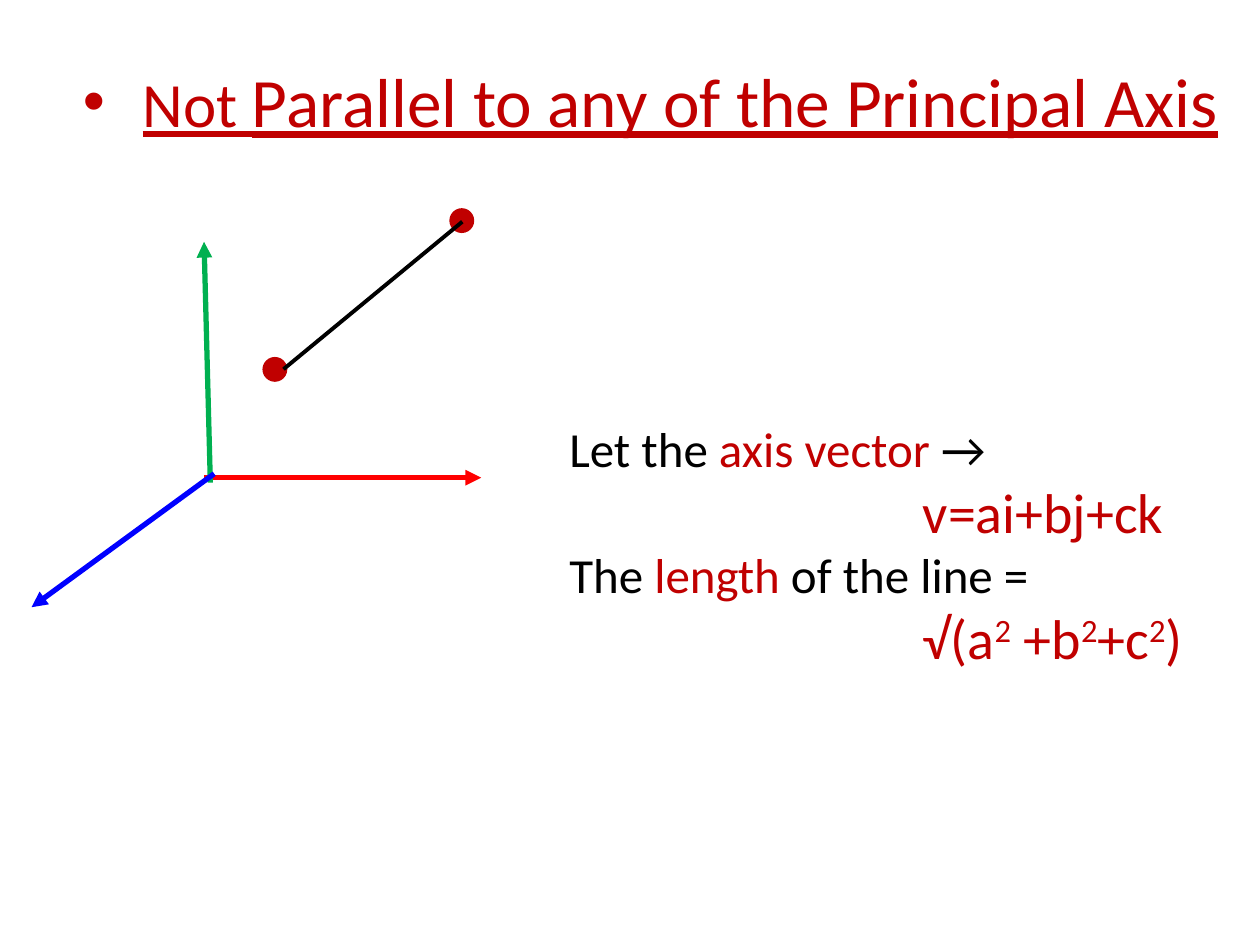
from lxml import etree
from pptx import Presentation
from pptx.dml.color import RGBColor
from pptx.enum import shapes, text
from pptx.oxml import ns
from pptx.util import Pt

CRIMSON = RGBColor(0xC0, 0x00, 0x00)
RED = RGBColor(0xFF, 0x00, 0x00)
GREEN = RGBColor(0x00, 0xB0, 0x50)
BLUE = RGBColor(0x00, 0x00, 0xFF)
BLACK = RGBColor(0x00, 0x00, 0x00)

PLAIN = {"size": Pt(28), "color": BLACK}
ACCENT = {"size": Pt(28), "color": CRIMSON}
FORMULA = {"size": Pt(32), "color": CRIMSON}
SQUARE = {**FORMULA, "baseline": "30000"}
HEADING = {"size": Pt(36), "color": CRIMSON, "underline": True}
FORMULA_INDENT = 202

TITLE_BOX = (36, 12.24, 671.76, 90)
TITLE = [
    (38.5, [("Not ", HEADING),
            ("Parallel to any of the Principal Axis", {**HEADING, "size": Pt(39.6)})]),
]
NOTES_BOX = (318.24, 235.44, 378, 208)
NOTES = [
    (0, [("Let the ", PLAIN), ("axis vector ", ACCENT), ("→", PLAIN)]),
    (FORMULA_INDENT, [("v=ai+bj+ck", FORMULA)]),
    (0, [("The ", PLAIN), ("length", ACCENT), (" of the line =", PLAIN)]),
    (FORMULA_INDENT, [("√(a", FORMULA), ("2", SQUARE), (" +b", FORMULA), ("2", SQUARE),
                      ("+c", FORMULA), ("2", SQUARE), (")", FORMULA)]),
]
AXES = [
    ((116.6, 273), (275, 273), RED),
    ((120.2, 275.8), (116.6, 138.2), GREEN),
    ((122.4, 270.7), (18, 347), BLUE),
]
POINT_SIZE = 12.2
POINTS = [(257.8, 120), (151, 205)]
SEGMENT = ((162, 211), (264.2, 126.7))


def add_text(slide, box, paragraphs, anchor):
    shape = slide.shapes.add_textbox(*map(Pt, box))
    frame = shape.text_frame
    settings = {"word_wrap": True, "vertical_anchor": anchor, "margin_right": 0}
    for name, value in settings.items():
        setattr(frame, name, value)
    for index, (indent, runs) in enumerate(paragraphs):
        paragraph = frame.add_paragraph() if index else frame.paragraphs[0]
        paragraph._p.get_or_add_pPr().set("marL", str(Pt(indent)))
        for wording, values in runs:
            run = paragraph.add_run()
            run.text = wording
            run.font.name = "Calibri"
            for name, value in values.items():
                if name == "color":
                    run.font.color.rgb = value
                elif name == "baseline":
                    run.font._element.set(name, value)
                else:
                    setattr(run.font, name, value)
    return frame


def add_bullet(paragraph, hanging):
    properties = paragraph._p.get_or_add_pPr()
    properties.set("indent", str(-Pt(hanging)))
    etree.SubElement(properties, ns.qn("a:buFont")).set("typeface", "Arial")
    etree.SubElement(properties, ns.qn("a:buChar")).set("char", "•")


def add_line(slide, start, end, color, width, arrow=False):
    connector = slide.shapes.add_connector(
        shapes.MSO_CONNECTOR.STRAIGHT, *map(Pt, start + end))
    connector.line.color.rgb = color
    connector.line.width = Pt(width)
    if arrow:
        line = connector.line._get_or_add_ln()
        etree.SubElement(line, ns.qn("a:tailEnd")).set("type", "triangle")
    etree.SubElement(connector._element.spPr, ns.qn("a:effectLst"))


def add_point(slide, left, top):
    shape = slide.shapes.add_shape(
        shapes.MSO_SHAPE.OVAL, *map(Pt, (left, top, POINT_SIZE, POINT_SIZE)))
    shape.shadow.inherit = False
    shape.fill.solid()
    shape.fill.fore_color.rgb = CRIMSON
    shape.line.color.rgb = CRIMSON
    shape.line.width = Pt(2)


def main():
    presentation = Presentation()
    presentation.slide_width, presentation.slide_height = Pt(720), Pt(540)
    slide = presentation.slides.add_slide(presentation.slide_layouts[6])
    title = add_text(slide, TITLE_BOX, TITLE, text.MSO_ANCHOR.MIDDLE)
    add_bullet(title.paragraphs[0], 34.2)
    for start, end, color in AXES:
        add_line(slide, start, end, color, 3, arrow=True)
    for left, top in POINTS:
        add_point(slide, left, top)
    add_line(slide, *SEGMENT, BLACK, 2.25)
    add_text(slide, NOTES_BOX, NOTES, text.MSO_ANCHOR.TOP)
    presentation.save("out.pptx")


if __name__ == "__main__":
    main()
